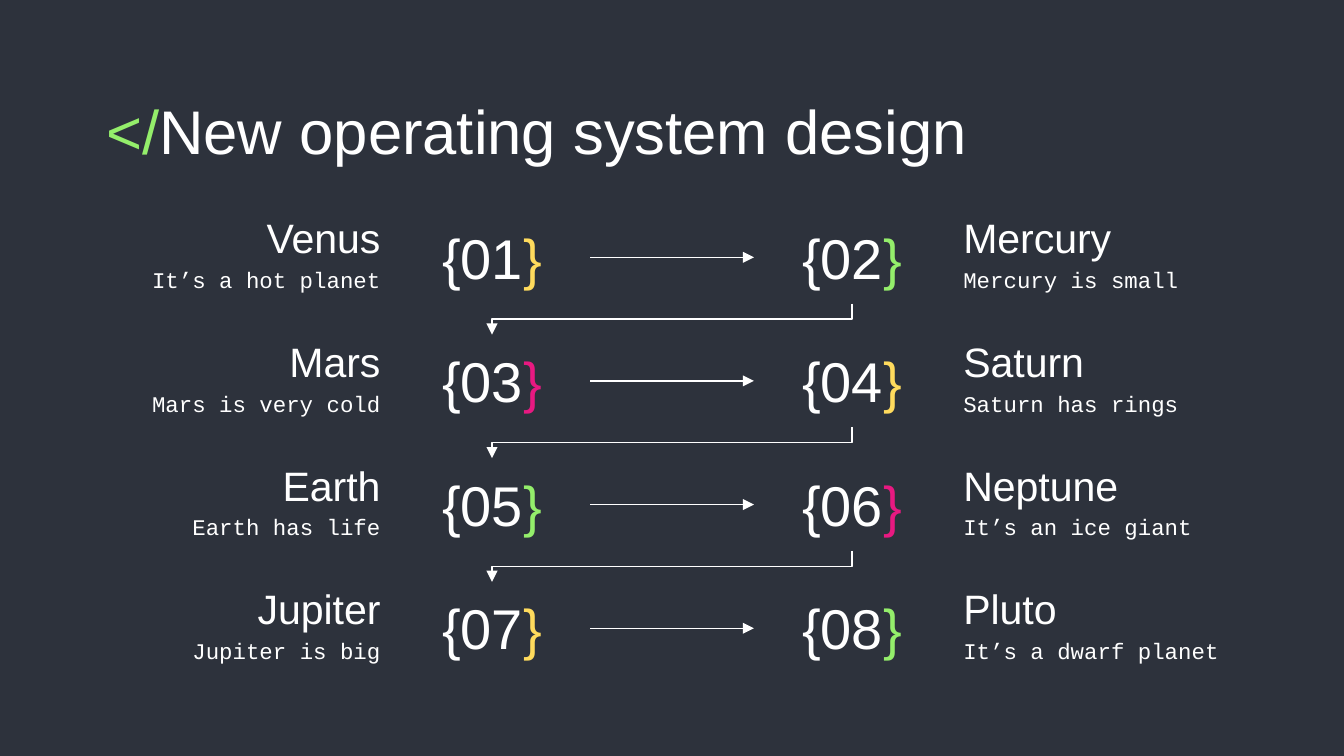
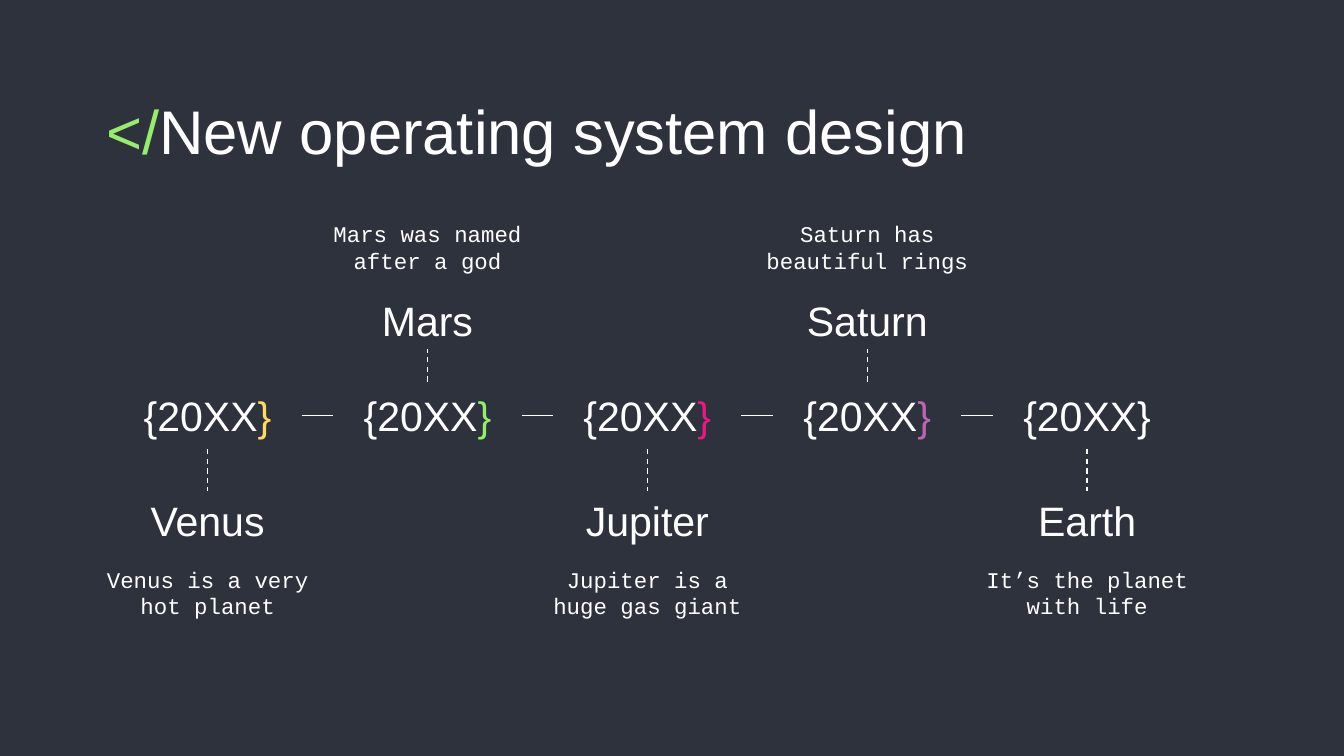
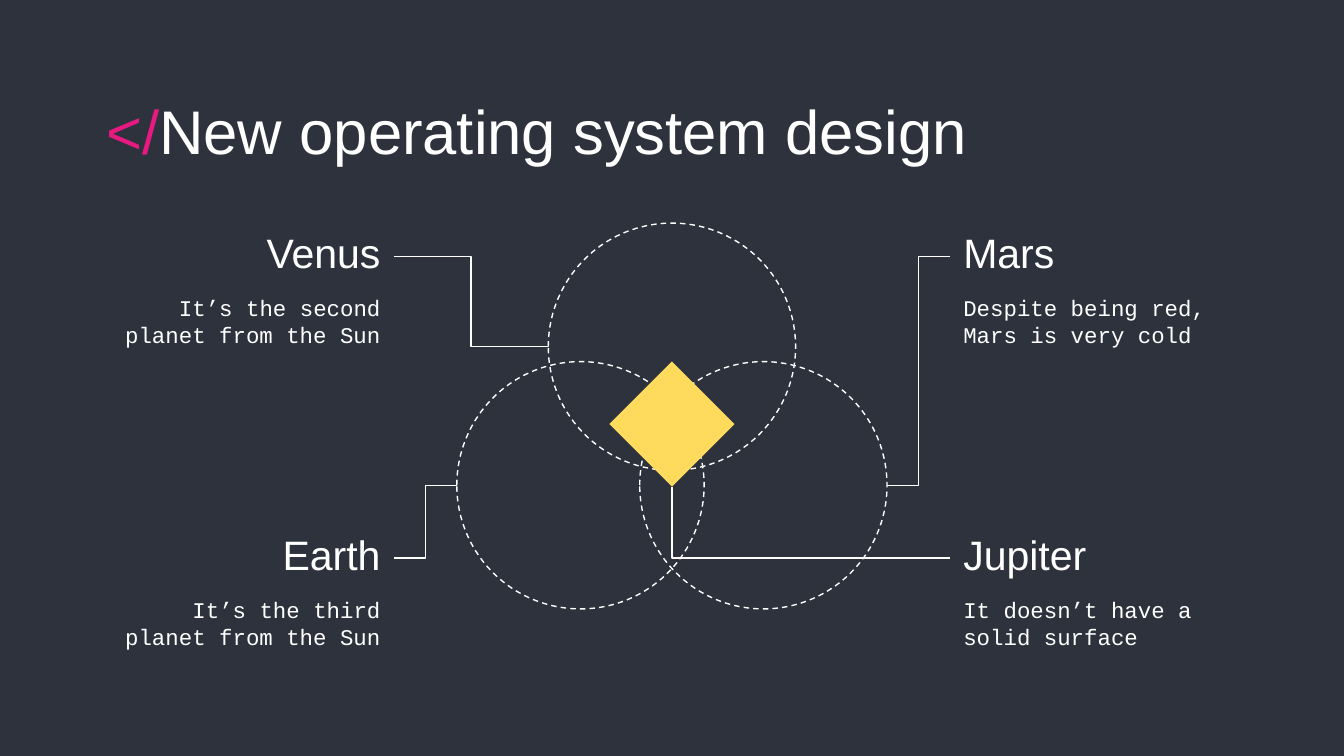
from dataclasses import dataclass
from typing import Optional

from lxml.etree import SubElement
from pptx import Presentation
from pptx.dml.color import RGBColor
from pptx.enum.dml import MSO_LINE
from pptx.enum.shapes import MSO_CONNECTOR, MSO_SHAPE
from pptx.enum.text import MSO_ANCHOR, MSO_AUTO_SIZE, PP_ALIGN
from pptx.oxml.ns import qn
from pptx.presentation import Presentation as Deck
from pptx.shapes.autoshape import Shape
from pptx.shapes.connector import Connector
from pptx.slide import Slide
from pptx.util import Pt

NAVY = RGBColor(0x2D, 0x32, 0x3C)
WHITE = RGBColor(0xFF, 0xFF, 0xFF)
GREEN = RGBColor(0x94, 0xEE, 0x6B)
YELLOW = RGBColor(0xFF, 0xDB, 0x5D)
PINK = RGBColor(0xE8, 0x19, 0x81)
PURPLE = RGBColor(0xBD, 0x64, 0xB5)

SLIDE_WIDTH, SLIDE_HEIGHT = 720, 405
CENTRE_X = SLIDE_WIDTH / 2
MARGIN = 56.9
INSET = 7.2
LINE_WIDTH = 0.75
SIDE_WIDTH = 154.1
LEFT_EDGE = MARGIN + SIDE_WIDTH
RIGHT_EDGE = SLIDE_WIDTH - LEFT_EDGE
NAME_HEIGHT = 36

TOP, LEFT, BOTTOM, RIGHT = range(4)


@dataclass(frozen=True)
class TextStyle:
    font: str
    size: float


@dataclass(frozen=True)
class Box:
    left: float
    top: float
    width: float
    height: float


@dataclass(frozen=True)
class Planet:
    name: str
    note: str
    accent: RGBColor = WHITE


@dataclass(frozen=True)
class Point:
    x: float
    y: float


TITLE = TextStyle("Arial", 33)
NUMBER = TextStyle("Arial", 30)
NAME = TextStyle("Arial", 22)
NOTE = TextStyle("Courier New", 12)

STEPS = [
    Planet("Venus", "It’s a hot planet", YELLOW),
    Planet("Mercury", "Mercury is small", GREEN),
    Planet("Mars", "Mars is very cold", PINK),
    Planet("Saturn", "Saturn has rings", YELLOW),
    Planet("Earth", "Earth has life", GREEN),
    Planet("Neptune", "It’s an ice giant", PINK),
    Planet("Jupiter", "Jupiter is big", YELLOW),
    Planet("Pluto", "It’s a dwarf planet", GREEN),
]
MILESTONES = [
    Planet("Venus", "Venus is a very hot planet", YELLOW),
    Planet("Mars", "Mars was named after a god", GREEN),
    Planet("Jupiter", "Jupiter is a huge gas giant", PINK),
    Planet("Saturn", "Saturn has beautiful rings", PURPLE),
    Planet("Earth", "It’s the planet with life"),
]
CORNERS = [
    Planet("Venus", "It’s the second planet from the Sun"),
    Planet("Mars", "Despite being red, Mars is very cold"),
    Planet("Earth", "It’s the third planet from the Sun"),
    Planet("Jupiter", "It doesn’t have a solid surface"),
]


def add_text(slide: Slide, box: Box, runs: list[tuple[str, RGBColor]], style: TextStyle,
             align: PP_ALIGN = PP_ALIGN.LEFT, anchor: MSO_ANCHOR = MSO_ANCHOR.TOP,
             side_inset: float = INSET) -> Shape:
    shape = slide.shapes.add_textbox(Pt(box.left), Pt(box.top), Pt(box.width), Pt(box.height))
    frame = shape.text_frame
    frame.word_wrap = True
    frame.auto_size = MSO_AUTO_SIZE.NONE
    frame.vertical_anchor = anchor
    frame.margin_left = frame.margin_right = Pt(side_inset)
    frame.margin_top = frame.margin_bottom = Pt(INSET)
    paragraph = frame.paragraphs[0]
    paragraph.alignment = align
    paragraph.font.name = style.font
    paragraph.font.size = Pt(style.size)
    for text, colour in runs:
        run = paragraph.add_run()
        run.text = text
        run.font.color.rgb = colour
    return shape


def add_braced(slide: Slide, box: Box, text: str, accent: RGBColor, style: TextStyle,
               anchor: MSO_ANCHOR) -> Shape:
    """Draw text in braces, the closing one in the accent colour."""
    runs = [("{" + text, WHITE), ("}", accent)]
    return add_text(slide, box, runs, style, PP_ALIGN.CENTER, anchor)


def add_side_label(slide: Slide, planet: Planet, on_right: bool, name_top: float,
                   note_top: float, note_height: float) -> None:
    """Draw a name and a note in the outer column, aligned towards the centre."""
    left = RIGHT_EDGE if on_right else MARGIN
    align = PP_ALIGN.LEFT if on_right else PP_ALIGN.RIGHT
    add_text(slide, Box(left, name_top, SIDE_WIDTH, NAME_HEIGHT), [(planet.name, WHITE)],
             NAME, align, MSO_ANCHOR.BOTTOM)
    add_text(slide, Box(left, note_top, SIDE_WIDTH, note_height), [(planet.note, WHITE)],
             NOTE, align)


def add_line(slide: Slide, kind: MSO_CONNECTOR, start: Point, end: Point,
             arrow: bool = False, dashed: bool = False) -> Connector:
    connector = slide.shapes.add_connector(kind, Pt(start.x), Pt(start.y), Pt(end.x), Pt(end.y))
    connector.line.color.rgb = WHITE
    connector.line.width = Pt(LINE_WIDTH)
    if dashed:
        connector.line.dash_style = MSO_LINE.DASH
    properties = connector._element.spPr
    if arrow:
        SubElement(properties.find(qn("a:ln")), qn("a:tailEnd"), type="triangle")
    SubElement(properties, qn("a:effectLst"))
    return connector


def join(slide: Slide, first: Shape, first_side: int, second: Shape, second_side: int,
         arrow: bool = False, dashed: bool = False) -> None:
    origin = Point(0, 0)
    connector = add_line(slide, MSO_CONNECTOR.STRAIGHT, origin, origin, arrow, dashed)
    connector.begin_connect(first, first_side)
    connector.end_connect(second, second_side)


def add_downward_elbow(slide: Slide, start: Point, end: Point, arrow: bool = False,
                       preset: str = "bentConnector3") -> None:
    """Draw an elbow that leaves downwards: a sideways one turned by 90 degrees."""
    middle = Point((start.x + end.x) / 2, (start.y + end.y) / 2)
    half_x, half_y = (end.x - start.x) / 2, (end.y - start.y) / 2
    connector = add_line(slide, MSO_CONNECTOR.ELBOW,
                         Point(middle.x - half_y, middle.y + half_x),
                         Point(middle.x + half_y, middle.y - half_x), arrow)
    properties = connector._element.spPr
    properties.find(qn("a:xfrm")).set("rot", str(90 * 60000))
    properties.find(qn("a:prstGeom")).set("prst", preset)


def add_centred_shape(slide: Slide, preset: MSO_SHAPE, centre: Point, size: float,
                      fill: Optional[RGBColor] = None) -> None:
    """Draw a filled shape without a line, or a dashed outline if no fill is given."""
    shape = slide.shapes.add_shape(preset, Pt(centre.x - size / 2), Pt(centre.y - size / 2),
                                   Pt(size), Pt(size))
    shape.shadow.inherit = False
    if fill is not None:
        shape.fill.solid()
        shape.fill.fore_color.rgb = fill
        shape.line.fill.background()
    else:
        shape.fill.background()
        shape.line.color.rgb = WHITE
        shape.line.width = Pt(LINE_WIDTH)
        shape.line.dash_style = MSO_LINE.DASH


def add_titled_slide(presentation: Deck, accent: RGBColor) -> Slide:
    slide = presentation.slides.add_slide(presentation.slide_layouts[6])
    slide.background.fill.solid()
    slide.background.fill.fore_color.rgb = NAVY
    add_text(slide, Box(MARGIN, 42.5, SLIDE_WIDTH - 2 * MARGIN, 45.4),
             [("</", accent), ("New operating system design", WHITE)], TITLE, side_inset=0)
    return slide


def build_steps(presentation: Deck) -> None:
    slide = add_titled_slide(presentation, GREEN)
    first_top, row_pitch = 113, 66.24
    width, height = 105.1, 49.7
    numbers = []
    for index, planet in enumerate(STEPS):
        row, column = divmod(index, 2)
        top = first_top + row * row_pitch
        left = RIGHT_EDGE - width if column else LEFT_EDGE
        numbers.append(add_braced(slide, Box(left, top, width, height), f"{index + 1:02}",
                                  planet.accent, NUMBER, MSO_ANCHOR.BOTTOM))
        add_side_label(slide, planet, column == 1, top - 1.4, top + 22.4, 28.8)

    for left_number, right_number in zip(numbers[::2], numbers[1::2]):
        join(slide, left_number, RIGHT, right_number, LEFT, arrow=True)
    for row in range(len(STEPS) // 2 - 1):
        top = first_top + row * row_pitch
        add_downward_elbow(slide, Point(RIGHT_EDGE - width / 2, top + height),
                           Point(LEFT_EDGE + width / 2, top + row_pitch), arrow=True)


def build_timeline(presentation: Deck) -> None:
    slide = add_titled_slide(presentation, GREEN)
    first_centre, pitch = 111.2, 117.8
    year_width, label_width, height = 100.8, 125.2, 36
    previous = None
    for index, planet in enumerate(MILESTONES):
        centre = first_centre + index * pitch
        above = index % 2 == 1
        name_top, note_top = (151.2, 118.1) if above else (262.8, 295.9)
        name_anchor, note_anchor = MSO_ANCHOR.BOTTOM, MSO_ANCHOR.TOP
        if above:
            name_anchor, note_anchor = note_anchor, name_anchor
        label_left = centre - label_width / 2
        name = add_text(slide, Box(label_left, name_top, label_width, height),
                        [(planet.name, WHITE)], NAME, PP_ALIGN.CENTER, name_anchor)
        add_text(slide, Box(label_left, note_top, label_width, height),
                 [(planet.note, WHITE)], NOTE, PP_ALIGN.CENTER, note_anchor)
        year = add_braced(slide, Box(centre - year_width / 2, 204.5, year_width, height),
                          "20XX", planet.accent, NAME, MSO_ANCHOR.MIDDLE)
        year_side, name_side = (TOP, BOTTOM) if above else (BOTTOM, TOP)
        join(slide, year, year_side, name, name_side, dashed=True)
        if previous is not None:
            join(slide, previous, RIGHT, year, LEFT)
        previous = year


def build_circles(presentation: Deck) -> None:
    slide = add_titled_slide(presentation, PINK)
    diameter, diamond_size = 132.5, 67
    radius = diameter / 2
    upper = Point(CENTRE_X, 185.8)
    lower_left, lower_right = Point(CENTRE_X - 49, 260), Point(CENTRE_X + 49, 260)
    for centre in (upper, lower_left, lower_right):
        add_centred_shape(slide, MSO_SHAPE.OVAL, centre, diameter)

    name_tops = (119.5, 281)
    for index, planet in enumerate(CORNERS):
        row, column = divmod(index, 2)
        top = name_tops[row]
        add_side_label(slide, planet, column == 1, top, top + 31, 43.2)

    upper_y, lower_y = (top + NAME_HEIGHT / 2 for top in name_tops)
    elbows = [
        (Point(LEFT_EDGE, upper_y), Point(upper.x - radius, upper.y)),
        (Point(LEFT_EDGE, lower_y), Point(lower_left.x - radius, lower_left.y)),
        (Point(RIGHT_EDGE, upper_y), Point(lower_right.x + radius, lower_right.y)),
    ]
    for start, end in elbows:
        add_line(slide, MSO_CONNECTOR.ELBOW, start, end)

    diamond = Point(CENTRE_X, 227.2)
    add_downward_elbow(slide, Point(diamond.x, diamond.y + diamond_size / 2),
                       Point(RIGHT_EDGE, lower_y), preset="bentConnector2")
    add_centred_shape(slide, MSO_SHAPE.DIAMOND, diamond, diamond_size, YELLOW)


def main() -> None:
    presentation = Presentation()
    presentation.slide_width = Pt(SLIDE_WIDTH)
    presentation.slide_height = Pt(SLIDE_HEIGHT)
    build_steps(presentation)
    build_timeline(presentation)
    build_circles(presentation)
    presentation.save("out.pptx")


if __name__ == "__main__":
    main()
